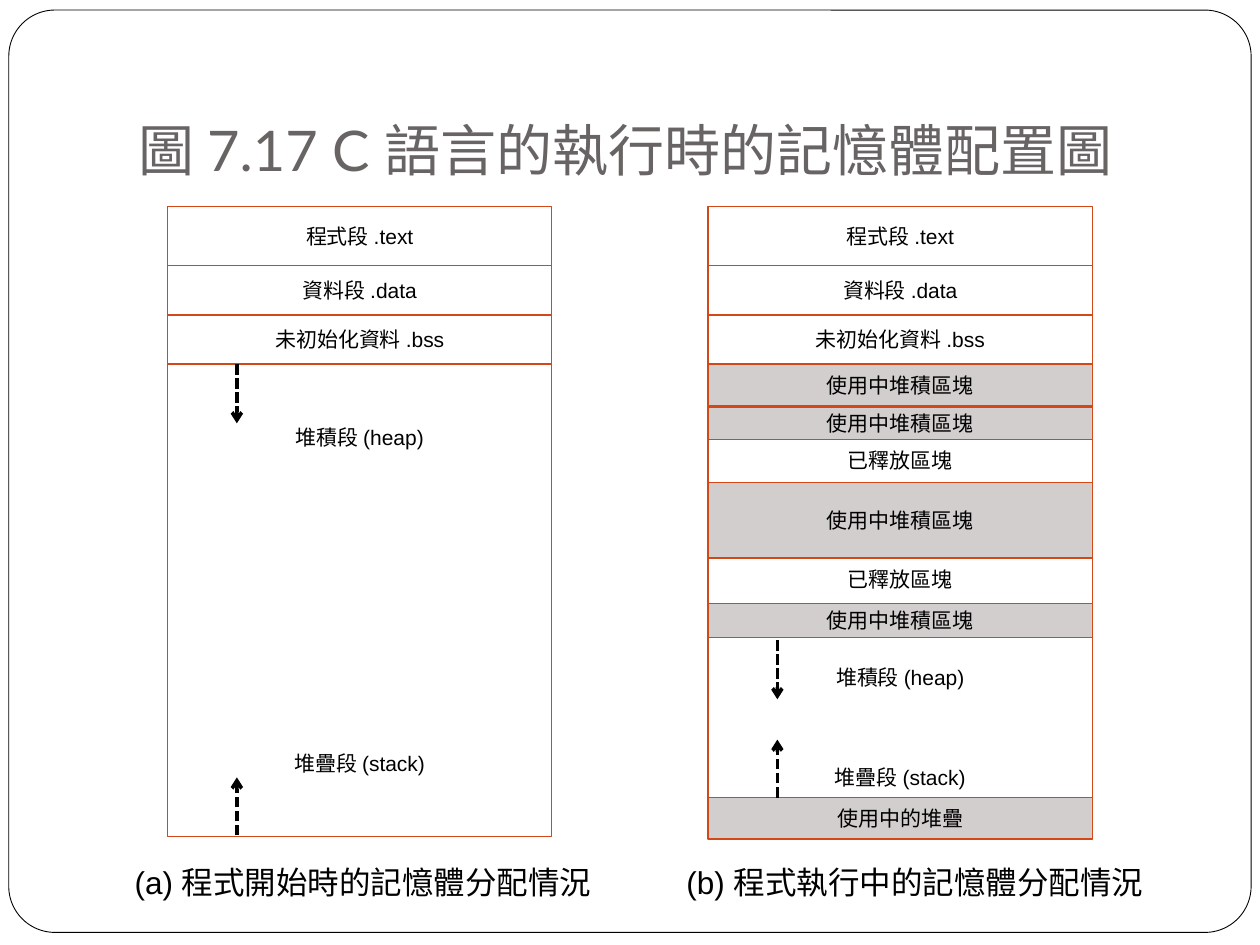
"""Build the slide on the run-time memory layout of a C program."""
from lxml import etree
from pptx import Presentation
from pptx.dml.color import RGBColor
from pptx.enum.dml import MSO_LINE
from pptx.enum.shapes import MSO_CONNECTOR, MSO_SHAPE
from pptx.enum.text import MSO_ANCHOR, MSO_AUTO_SIZE, PP_ALIGN
from pptx.oxml.ns import qn
from pptx.util import Inches, Pt

RECTANGLE, ROUNDED = MSO_SHAPE.RECTANGLE, MSO_SHAPE.ROUNDED_RECTANGLE
STRAIGHT = MSO_CONNECTOR.STRAIGHT
DASH = MSO_LINE.SQUARE_DOT
TOP, MIDDLE, BOTTOM = MSO_ANCHOR.TOP, MSO_ANCHOR.MIDDLE, MSO_ANCHOR.BOTTOM
LEFT, CENTER = PP_ALIGN.LEFT, PP_ALIGN.CENTER
FIXED = MSO_AUTO_SIZE.NONE

COLORS = {"black": "000000", "white": "FFFFFF", "title": "696464",
          "border": "D34817", "used": "D3CECE"}
TITLE = "圖 7.17 C 語言的執行時的記憶體配置圖"
SEGMENTS = [("程式段 .text", 0.47), ("資料段 .data", 0.39), ("未初始化資料 .bss", 0.39)]
OPEN_LABELS = ["堆積段 (heap)", "堆疊段 (stack)"]
USED, FREED, STACK = "使用中堆積區塊", "已釋放區塊", "使用中的堆疊"
BLOCK_TOP, BLOCK_WIDTH = 1.64, 3.05
OPEN_TOP, OPEN_HEIGHT = 2.89, 3.75
ARROW_OFFSET = 0.55
CAPTION_TOP, CAPTION_WIDTH, CAPTION_HEIGHT = 6.8, 4.1, 0.4
COLUMNS = [
    {"left": 1.33, "caption": "(a) 程式開始時的記憶體分配情況", "caption_left": 0.97,
     "label_gap": 172, "label_inset": 0.48, "blocks": [],
     "arrows": [(2.89, 3.36), (6.63, 6.17)]},
    {"left": 5.62, "caption": "(b) 程式執行中的記憶體分配情況", "caption_left": 5.35,
     "label_gap": 43, "label_inset": 0.37,
     "blocks": [(USED, 2.89, 0.33), (USED, 4.79, 0.27), (FREED, 3.46, 0.39),
                (USED, 3.23, 0.26), (FREED, 4.4, 0.39), (USED, 3.83, 0.6),
                (STACK, 6.33, 0.33)],
     "arrows": [(5.08, 5.55), (6.33, 5.87)]},
]


def write_text(shape, lines, size=12, font="Arial", color="black", align=CENTER,
               anchor=MIDDLE, bottom=0.05, gap=0, wrap=False):
    """Write the lines into a shape with the given format."""
    frame = shape.text_frame
    frame.auto_size = FIXED
    frame.word_wrap = wrap
    frame.vertical_anchor = anchor
    frame.margin_left = frame.margin_right = Inches(0.1)
    frame.margin_top, frame.margin_bottom = Inches(0.05), Inches(bottom)
    for index, line in enumerate(lines):
        paragraph = frame.add_paragraph() if index else frame.paragraphs[0]
        paragraph.alignment = align
        paragraph.space_before = Pt(gap if index else 0)
        run = paragraph.add_run()
        run.text = line
        run.font.size, run.font.name = Pt(size), font
        run.font.color.rgb = RGBColor.from_string(COLORS[color])


def add_block(slide, left, top, width, height, kind=RECTANGLE, fill=None,
              line="border", weight=0.75):
    """Add an outlined block and return it."""
    shape = slide.shapes.add_shape(
        kind, Inches(left), Inches(top), Inches(width), Inches(height))
    shape.shadow.inherit = False
    if fill:
        shape.fill.solid()
        shape.fill.fore_color.rgb = RGBColor.from_string(COLORS[fill])
    else:
        shape.fill.background()
    shape.line.color.rgb = RGBColor.from_string(COLORS[line])
    shape.line.width = Pt(weight)
    return shape


def add_arrow(slide, x, start, end):
    """Add a dashed vertical arrow that shows the growth direction."""
    arrow = slide.shapes.add_connector(
        STRAIGHT, Inches(x), Inches(start), Inches(x), Inches(end))
    arrow.line.color.rgb = RGBColor.from_string(COLORS["black"])
    arrow.line.width = Pt(2)
    arrow.line.dash_style = DASH
    line_element = arrow.element.spPr.find(qn("a:ln"))
    etree.SubElement(line_element, qn("a:tailEnd"), type="arrow")
    etree.SubElement(arrow.element.spPr, qn("a:effectLst"))


def add_column(slide, column):
    """Add one memory layout with its arrows and caption."""
    left, top = column["left"], BLOCK_TOP
    for label, height in SEGMENTS:
        segment = add_block(slide, left, top, BLOCK_WIDTH, height)
        write_text(segment, [label])
        top += height
    open_area = add_block(slide, left, OPEN_TOP, BLOCK_WIDTH, OPEN_HEIGHT)
    write_text(open_area, OPEN_LABELS, anchor=BOTTOM,
               bottom=column["label_inset"], gap=column["label_gap"])
    for label, block_top, height in column["blocks"]:
        fill = None if label == FREED else "used"
        block = add_block(slide, left, block_top, BLOCK_WIDTH, height, fill=fill)
        write_text(block, [label])
    for start, end in column["arrows"]:
        add_arrow(slide, left + ARROW_OFFSET, start, end)
    caption = slide.shapes.add_textbox(
        Inches(column["caption_left"]), Inches(CAPTION_TOP),
        Inches(CAPTION_WIDTH), Inches(CAPTION_HEIGHT))
    write_text(caption, [column["caption"]], size=18, align=LEFT, anchor=TOP, wrap=True)


def main():
    """Build and save the presentation."""
    presentation = Presentation()
    presentation.slide_width, presentation.slide_height = Inches(10), Inches(7.5)
    slide = presentation.slides.add_slide(presentation.slide_layouts[5])
    title = slide.shapes.title
    title.left, title.top = Inches(1), Inches(0.3)
    title.width, title.height = Inches(8.5), Inches(1.25)
    write_text(title, [TITLE], size=32, font="Lato", color="title", align=LEFT,
               anchor=BOTTOM, bottom=0.1, wrap=True)
    border = add_block(slide, 0.07, 0.08, 9.86, 7.32, kind=ROUNDED,
                       fill="white", line="black", weight=0.5)
    border.adjustments[0] = 0.05
    title.element.addprevious(border.element)
    for column in COLUMNS:
        add_column(slide, column)
    presentation.save("out.pptx")


if __name__ == "__main__":
    main()
